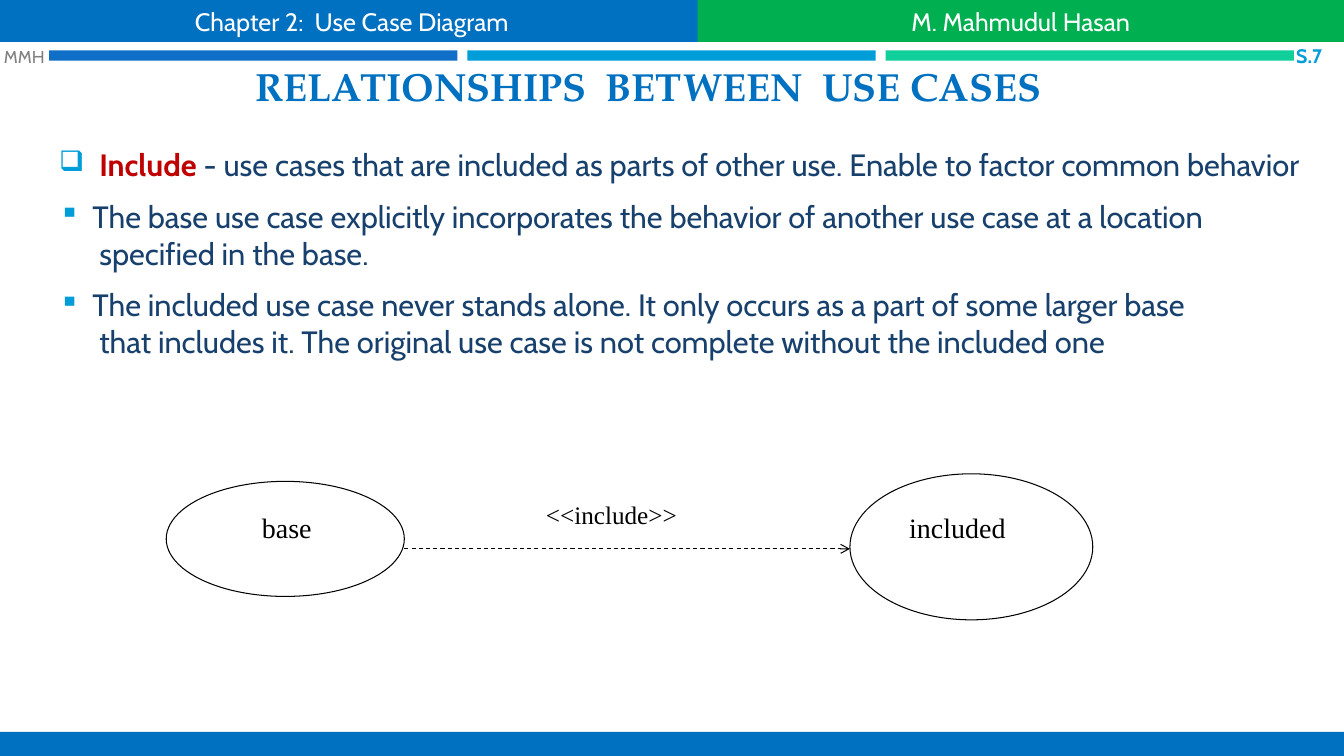
from lxml import etree
from pptx import Presentation, util as u
from pptx.dml.color import RGBColor
from pptx.enum import dml, shapes, text
from pptx.oxml.ns import qn

BLUE, NAVY, SKY, BLACK = "0070C0", "17406D", "009DD9", "000000"
CENTER, MIDDLE = text.PP_ALIGN.CENTER, text.MSO_ANCHOR.MIDDLE
BULLETS = [
    ("❑", [(" Include ", "C00000", True),
           ("- use cases that are included as parts of other use. "
            "Enable to factor common behavior", NAVY, False)]),
    ("▪", [("The base use case explicitly incorporates the behavior of another "
            "use case at a location\n specified in the base.", NAVY, False)]),
    ("▪", [("The included use case never stands alone. It only occurs as a part "
            "of some larger base\n that includes it. The original use case is not "
            "complete without the included one", NAVY, False)]),
]


def color(target, value):
    """Give a fill or font colour from a hex string."""
    if hasattr(target, "solid"):
        target.solid()
        target = target.fore_color
    else:
        target = target.color
    target.rgb = RGBColor.from_string(value)


def assign(obj, values):
    """Set every attribute named in a dict."""
    for name, value in values.items():
        setattr(obj, name, value)


def cm(*values):
    """Turn numbers into centimetre lengths."""
    return [u.Cm(v) for v in values]


def write(p, content, font, size, value, bold=False):
    """Add formatted text to a paragraph, with breaks at newlines."""
    for i, line in enumerate(content.split("\n")):
        if i:
            p.add_line_break()
        r = p.add_run()
        r.text = line
        assign(r.font, {"name": font, "size": u.Pt(size), "bold": bold})
        color(r.font, value)


def add_label(s, box, content, font, size, value, bold=False, inset=0.25,
              align=text.PP_ALIGN.LEFT, anchor=text.MSO_ANCHOR.TOP):
    """Add a one-line text box."""
    tf = s.shapes.add_textbox(*cm(*box)).text_frame
    assign(tf, {"word_wrap": True, "vertical_anchor": anchor,
                "margin_left": u.Cm(inset), "margin_right": u.Cm(inset)})
    p = tf.paragraphs[0]
    p.alignment = align
    write(p, content, font, size, value, bold)


def add_band(s, box, fill, content=""):
    """Add a filled rectangle, with centred white text if given."""
    sp = s.shapes.add_shape(shapes.MSO_SHAPE.RECTANGLE, *cm(*box))
    sp.shadow.inherit = False
    color(sp.fill, fill)
    sp.line.fill.background()
    if content:
        sp.text_frame.vertical_anchor = MIDDLE
        p = sp.text_frame.paragraphs[0]
        p.alignment = CENTER
        write(p, content, "Cabin", 18, "FFFFFF")


def add_use_case(s, box):
    """Add an outlined ellipse."""
    sp = s.shapes.add_shape(shapes.MSO_SHAPE.OVAL, *cm(*box))
    sp.shadow.inherit = False
    sp.fill.background()
    color(sp.line.fill, BLACK)
    sp.line.width = u.Pt(0.75)


def add_dashed_arrow(s, x1, x2, y):
    """Add a horizontal dashed line with an open arrowhead."""
    cx = s.shapes.add_connector(shapes.MSO_CONNECTOR.STRAIGHT, *cm(x1, y, x2, y))
    color(cx.line.fill, BLACK)
    assign(cx.line, {"width": u.Pt(0.75), "dash_style": dml.MSO_LINE.DASH})
    etree.SubElement(cx.line._get_or_add_ln(), qn("a:tailEnd"), type="arrow")
    etree.SubElement(cx._element.spPr, qn("a:effectLst"))


def add_bullet(p, mark):
    """Give a paragraph a hanging coloured bullet."""
    pPr = p._p.get_or_add_pPr()
    assign_indent = {"marL": str(u.Cm(0.84)), "indent": str(-u.Cm(0.84))}
    for name, value in assign_indent.items():
        pPr.set(name, value)
    clr = etree.SubElement(pPr, qn("a:buClr"))
    etree.SubElement(clr, qn("a:srgbClr"), val=SKY)
    etree.SubElement(pPr, qn("a:buSzPct"), val="92000")
    etree.SubElement(pPr, qn("a:buChar"), char=mark)


def add_body(s, box):
    """Add the bulleted explanation."""
    tf = s.shapes.add_textbox(*cm(*box)).text_frame
    assign(tf, {"word_wrap": True, "vertical_anchor": MIDDLE})
    for i, (mark, runs) in enumerate(BULLETS):
        p = tf.add_paragraph() if i else tf.paragraphs[0]
        add_bullet(p, mark)
        assign(p, {"line_spacing": 1.0 if i else 0.9,
                   "space_before": u.Pt(4.4 if i else 0),
                   "space_after": u.Pt(6)})
        for content, value, bold in runs:
            write(p, content, "Cabin", 22, value, bold)


def set_title(s, box, content):
    """Place and format the title placeholder."""
    sp = s.shapes.title
    assign(sp, dict(zip(("left", "top", "width", "height"), cm(*box))))
    assign(sp.text_frame, {"word_wrap": True, "auto_size": text.MSO_AUTO_SIZE.NONE,
                           "vertical_anchor": text.MSO_ANCHOR.BOTTOM})
    p = sp.text_frame.paragraphs[0]
    p.alignment = CENTER
    write(p, content, "TeX Gyre Pagella", 28, BLUE, True)


def main():
    """Build the slide and save it."""
    prs = Presentation()
    assign(prs, {"slide_width": u.Cm(33.87), "slide_height": u.Cm(19.05)})
    s = prs.slides.add_slide(prs.slide_layouts[5])
    for i, fill in enumerate(("0F6FC6", SKY, "10CF9B")):
        add_band(s, (1.24 + i * 10.54, 1.27, 10.29, 0.26), fill)
    set_title(s, (1.02, 1.37, 30.63, 1.52), "RELATIONSHIPS  BETWEEN  USE CASES")
    add_body(s, (1.24, 3.43, 31.85, 5.99))

    add_use_case(s, (4.19, 12.13, 6, 2.9))
    add_use_case(s, (21.42, 11.94, 6.12, 3.68))
    add_dashed_arrow(s, 10.19, 21.42, 13.83)
    for box, content, size in (((6.35, 12.75, 3.3, 1.5), "base", 20),
                               ((22.66, 12.75, 5.03, 1.5), "included", 20),
                               ((13.51, 12.47, 6, 1.2), "<<include>>", 18)):
        add_label(s, box, content, "Times New Roman", size, BLACK)

    add_label(s, (32, 1, 1.32, 0.8), "S.7", "Cabin", 14, SKY, True, inset=0,
              align=text.PP_ALIGN.RIGHT, anchor=MIDDLE)
    add_label(s, (0.1, 1.04, 1.3, 0.76), "MMH", "Cabin", 12.3, "808080", inset=0,
              anchor=MIDDLE)
    add_band(s, (0, 18.44, 33.87, 0.61), BLUE)
    add_band(s, (0, 0, 17.73, 1.06), BLUE, "Chapter 2:  Use Case Diagram")
    add_band(s, (17.58, 0, 16.29, 1.06), "00B050", "M. Mahmudul Hasan")
    prs.save("out.pptx")


if __name__ == "__main__":
    main()
